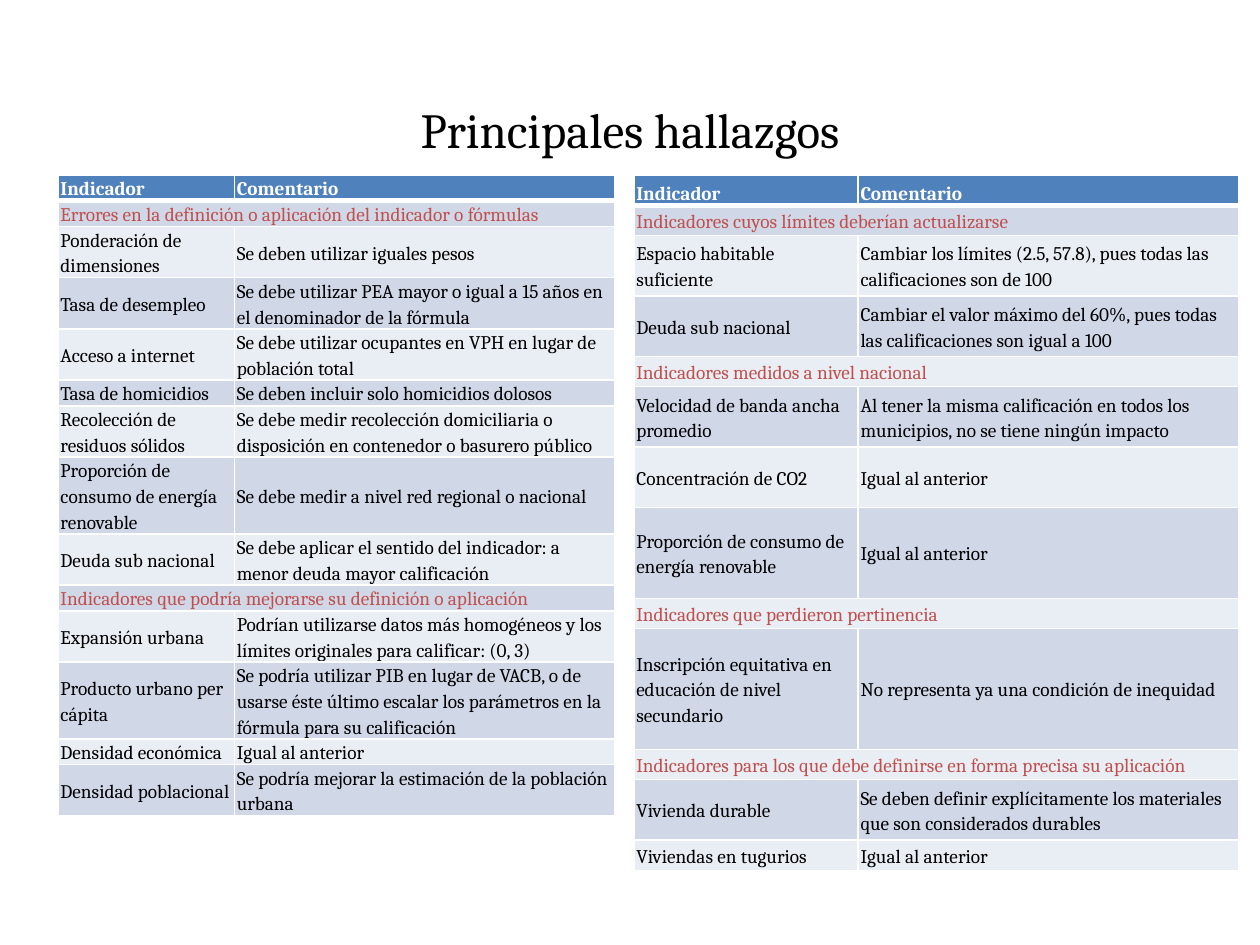
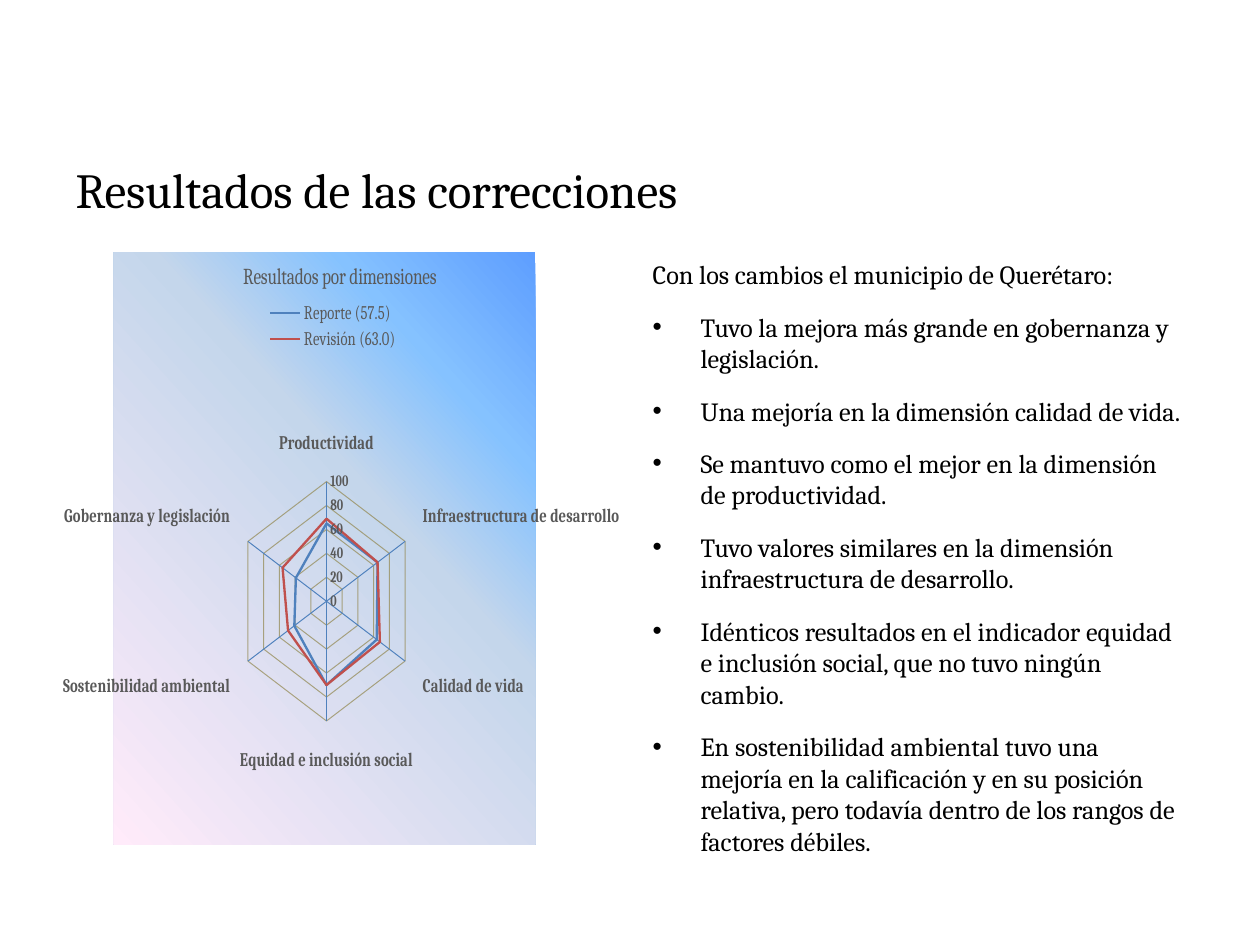
from pptx import Presentation
from pptx.chart.data import CategoryChartData
from pptx.dml.color import RGBColor
from pptx.enum.chart import XL_CHART_TYPE, XL_LEGEND_POSITION, XL_TICK_MARK
from pptx.enum.text import MSO_ANCHOR, MSO_AUTO_SIZE, PP_ALIGN
from pptx.oxml import parse_xml
from pptx.oxml.ns import nsdecls, qn
from pptx.util import Inches, Pt

RADAR = XL_CHART_TYPE.RADAR
LEGEND_TOP = XL_LEGEND_POSITION.TOP
NO_TICK = XL_TICK_MARK.NONE
MIDDLE, BOTTOM, TOP = MSO_ANCHOR.MIDDLE, MSO_ANCHOR.BOTTOM, MSO_ANCHOR.TOP
NO_FIT = MSO_AUTO_SIZE.NONE
LEFT, CENTER = PP_ALIGN.LEFT, PP_ALIGN.CENTER

FONT = "Cambria"
BLACK = RGBColor(0x00, 0x00, 0x00)
WHITE = RGBColor(0xFF, 0xFF, 0xFF)
BLUE = RGBColor(0x4F, 0x81, 0xBD)
RED = RGBColor(0xC0, 0x50, 0x4D)
BAND_DARK = RGBColor(0xD0, 0xD8, 0xE8)
BAND_LIGHT = RGBColor(0xE9, 0xED, 0xF4)
CHART_TEXT = RGBColor(0x59, 0x59, 0x59)
AXIS_GRAY = RGBColor(0xD9, 0xD9, 0xD9)
GRID_OLIVE = RGBColor(0x94, 0x8A, 0x54)
GRADIENT = [
    (0, RGBColor(0x5E, 0x9E, 0xFF)),
    (21, RGBColor(0x85, 0xC2, 0xFF)),
    (40, RGBColor(0xC4, 0xD6, 0xEB)),
    (100, RGBColor(0xFF, 0xEB, 0xFA)),
]
GRADIENT_ANGLE = 130

HEADER = (1, "Indicador", "Comentario")
FINDINGS = [
    {
        "position": (0.46, 1.39),
        "columns": (1.4, 3.02),
        "line_height": 0.2,
        "rows": [
            (1, "Errores en la definición o aplicación del indicador o fórmulas"),
            (2, "Ponderación de dimensiones", "Se deben utilizar iguales pesos"),
            (2, "Tasa de desempleo", "Se debe utilizar PEA mayor o igual a 15 años en el denominador de la fórmula"),
            (2, "Acceso a internet", "Se debe utilizar ocupantes en VPH en lugar de población total"),
            (1, "Tasa de homicidios", "Se deben incluir solo homicidios dolosos"),
            (2, "Recolección de residuos sólidos",
             "Se debe medir recolección domiciliaria o disposición en contenedor o basurero público"),
            (3, "Proporción de consumo de energía renovable", "Se debe medir a nivel red regional o nacional"),
            (2, "Deuda sub nacional", "Se debe aplicar el sentido del indicador: a menor deuda mayor calificación"),
            (1, "Indicadores que podría mejorarse su definición o aplicación"),
            (2, "Expansión urbana",
             "Podrían utilizarse datos más homogéneos y los límites originales para calificar: (0, 3)"),
            (3, "Producto urbano per cápita",
             "Se podría utilizar PIB en lugar de VACB, o de usarse éste último escalar los parámetros "
             "en la fórmula para su calificación"),
            (1, "Densidad económica", "Igual al anterior"),
            (2, "Densidad poblacional", "Se podría mejorar la estimación de la población urbana"),
        ],
    },
    {
        "position": (5.03, 1.39),
        "columns": (1.78, 3.02),
        "line_height": 0.24,
        "rows": [
            (1, "Indicadores cuyos límites deberían actualizarse"),
            (2, "Espacio habitable suficiente",
             "Cambiar los límites (2.5, 57.8), pues todas las calificaciones son de 100"),
            (2, "Deuda sub nacional",
             "Cambiar el valor máximo del 60%, pues todas las calificaciones son igual a 100"),
            (1, "Indicadores medidos a nivel nacional"),
            (2, "Velocidad de banda ancha promedio",
             "Al tener la misma calificación en todos los municipios, no se tiene ningún impacto"),
            (2, "Concentración de CO2", "Igual al anterior"),
            (3, "Proporción de consumo de energía renovable", "Igual al anterior"),
            (1, "Indicadores que perdieron pertinencia"),
            (4, "Inscripción equitativa en educación de nivel secundario",
             "No representa ya una condición de inequidad"),
            (1, "Indicadores para los que debe definirse en forma precisa su aplicación"),
            (2, "Vivienda durable",
             "Se deben definir explícitamente los materiales que son considerados durables"),
            (1, "Viviendas en tugurios", "Igual al anterior"),
        ],
    },
]

INTRODUCTION = "Con los cambios el municipio de Querétaro:"
CHANGES = [
    "Tuvo la mejora más grande en gobernanza y legislación.",
    "Una mejoría en la dimensión calidad de vida.",
    "Se mantuvo como el mejor en la dimensión de productividad.",
    "Tuvo valores similares en la dimensión infraestructura de desarrollo.",
    "Idénticos resultados en el indicador equidad e inclusión social, que no tuvo ningún cambio.",
    "En sostenibilidad ambiental tuvo una mejoría en la calificación y en su posición relativa, "
    "pero todavía dentro de los rangos de factores débiles.",
]
DIMENSIONS = [
    "Productividad",
    "Infraestructura de desarrollo",
    "Calidad de vida",
    "Equidad e inclusión social",
    "Sostenibilidad ambiental",
    "Gobernanza y legislación",
]
SCORES = [
    ("Reporte (57.5)", (65, 65, 64, 70, 41, 39), BLUE),
    ("Revisión (63.0)", (69, 65, 68, 70, 49, 56), RED),
]


def set_values(target, values):
    for name, value in values.items():
        setattr(target, name, value)


def set_font(font, size, color, bold=False):
    set_values(font, {"name": FONT, "size": Pt(size), "bold": bold})
    font.color.rgb = color


def place(shape, left, top, width, height):
    bounds = {"left": left, "top": top, "width": width, "height": height}
    set_values(shape, {name: Inches(value) for name, value in bounds.items()})


def add_titled_slide(presentation, layout_index, text, top, alignment):
    slide = presentation.slides.add_slide(presentation.slide_layouts[layout_index])
    title = slide.shapes.title
    place(title, 0.5, top, 9, 1)
    frame = title.text_frame
    set_values(frame, {"text": text, "auto_size": NO_FIT, "vertical_anchor": MIDDLE})
    paragraph = frame.paragraphs[0]
    paragraph.alignment = alignment
    set_font(paragraph.runs[0].font, 28, BLACK)
    return slide


def add_borders(cell, top_width, bottom_width):
    properties = cell._tc.get_or_add_tcPr()
    for side, width in (("L", 1), ("R", 1), ("T", top_width), ("B", bottom_width)):
        properties.append(parse_xml(
            f'<a:ln{side} {nsdecls("a")} w="{Pt(width)}"><a:solidFill>'
            f'<a:srgbClr val="{WHITE}"/></a:solidFill></a:ln{side}>'
        ))


def add_findings_table(slide, position, columns, line_height, rows):
    rows = [HEADER] + rows
    heights = [lines * line_height for lines, *_ in rows]
    bounds = (*position, sum(columns), sum(heights))
    table = slide.shapes.add_table(len(rows), len(columns), *map(Inches, bounds)).table
    for column, width in zip(table.columns, columns):
        column.width = Inches(width)
    for index, (_, *texts) in enumerate(rows):
        table.rows[index].height = Inches(heights[index])
        is_header, is_section = index == 0, len(texts) == 1
        fill = BLUE if is_header else BAND_DARK if index % 2 else BAND_LIGHT
        color = WHITE if is_header else RED if is_section else BLACK
        if is_section:
            table.cell(index, 0).merge(table.cell(index, 1))
        for column_index in range(len(columns)):
            cell = table.cell(index, column_index)
            add_borders(cell, 3 if index == 1 else 1, 3 if is_header else 1)
            cell.fill.solid()
            cell.fill.fore_color.rgb = fill
            set_values(cell, {
                "margin_left": Inches(0.02), "margin_right": Inches(0.02),
                "margin_top": 0, "margin_bottom": 0,
                "vertical_anchor": BOTTOM if is_header else MIDDLE,
            })
            if column_index < len(texts):
                cell.text = texts[column_index]
                paragraph = cell.text_frame.paragraphs[0]
                paragraph.line_spacing = 1.15
                set_font(paragraph.runs[0].font, 11, color, is_header)


def add_changes_list(body):
    place(body, 5.08, 2, 4.42, 4.7)
    frame = body.text_frame
    set_values(frame, {"auto_size": NO_FIT, "vertical_anchor": TOP})
    for index, text in enumerate([INTRODUCTION] + CHANGES):
        paragraph = frame.add_paragraph() if index else frame.paragraphs[0]
        run = paragraph.add_run()
        run.text = text
        set_font(run.font, 15, BLACK)
        properties = paragraph._p.get_or_add_pPr()
        indent = Inches(0.38) if index else 0
        properties.set("marL", str(indent))
        properties.set("indent", str(-indent))
        if index:
            paragraph.space_before = Pt(12)
        bullet = 'buChar char="•"' if index else "buNone"
        properties.append(parse_xml(f'<a:{bullet} {nsdecls("a")}/>'))


def set_layout(element, index, values, inner=False):
    for layout in element.findall(qn("c:layout")):
        element.remove(layout)
    target = '<c:layoutTarget val="inner"/>' if inner else ""
    modes = '<c:xMode val="edge"/><c:yMode val="edge"/>'
    sizes = "".join(f'<c:{name} val="{value}"/>' for name, value in zip("xywh", values))
    element.insert(index, parse_xml(
        f'<c:layout {nsdecls("c")}><c:manualLayout>{target}{modes}{sizes}</c:manualLayout></c:layout>'
    ))


def set_line(line, color, width):
    line.color.rgb = color
    line.width = Pt(width)


def fill_chart_area(chart):
    stops = "".join(
        f'<a:gs pos="{position * 1000}"><a:srgbClr val="{color}"/></a:gs>' for position, color in GRADIENT
    )
    chart.element.find(qn("c:chart")).addnext(parse_xml(
        f'<c:spPr {nsdecls("c", "a")}><a:gradFill><a:gsLst>{stops}</a:gsLst>'
        f'<a:lin ang="{GRADIENT_ANGLE * 60000}" scaled="0"/></a:gradFill>'
        '<a:ln><a:noFill/></a:ln></c:spPr>'
    ))


def add_dimensions_chart(slide):
    data = CategoryChartData(number_format="0")
    data.categories = DIMENSIONS
    for name, values, _ in SCORES:
        data.add_series(name, values)
    bounds = map(Inches, (0.5, 2, 4.42, 4.7))
    chart = slide.shapes.add_chart(RADAR, *bounds, data).chart
    set_font(chart.font, 10, BLACK)
    fill_chart_area(chart)

    chart.has_title = True
    title = chart.chart_title
    title.text_frame.text = "Resultados por dimensiones"
    set_font(title.text_frame.paragraphs[0].runs[0].font, 13, CHART_TEXT)
    set_layout(title.element, 1, (0.3, 0.01))

    chart.has_legend = True
    set_values(chart.legend, {"position": LEGEND_TOP, "include_in_layout": False})
    set_font(chart.legend.font, 11, CHART_TEXT)
    set_layout(chart.element.find(".//" + qn("c:legend")), 1, (0.36, 0.08, 0.32, 0.09))
    set_layout(chart.element.find(".//" + qn("c:plotArea")), 0, (0.29, 0.25, 0.43, 0.68), inner=True)

    category_axis, value_axis = chart.category_axis, chart.value_axis
    for axis, size, color in ((category_axis, 11, AXIS_GRAY), (value_axis, 9, BLUE)):
        set_values(axis, {"major_tick_mark": NO_TICK, "minor_tick_mark": NO_TICK})
        set_font(axis.tick_labels.font, size, CHART_TEXT, True)
        set_line(axis.format.line, color, 0.75)
    category_axis.has_major_gridlines = False
    set_values(value_axis, {
        "minimum_scale": 0, "maximum_scale": 100, "major_unit": 20, "has_major_gridlines": True,
    })
    set_values(value_axis.tick_labels, {"number_format": "0", "number_format_is_linked": False})
    set_line(value_axis.major_gridlines.format.line, GRID_OLIVE, 0.75)
    grid_color = chart.element.find(".//" + qn("c:majorGridlines")).find(".//" + qn("a:srgbClr"))
    grid_color.append(parse_xml(f'<a:alpha {nsdecls("a")} val="72000"/>'))

    for series, (_, _, color) in zip(chart.plots[0].series, SCORES):
        set_line(series.format.line, color, 1.75)
        series.smooth = False


def main():
    presentation = Presentation()
    set_values(presentation, {"slide_width": Inches(10), "slide_height": Inches(7.5)})

    findings_slide = add_titled_slide(presentation, 5, "Principales hallazgos", 0.52, CENTER)
    for findings in FINDINGS:
        add_findings_table(findings_slide, **findings)

    results_slide = add_titled_slide(presentation, 1, "Resultados de las correcciones", 1, LEFT)
    add_dimensions_chart(results_slide)
    add_changes_list(results_slide.placeholders[1])

    presentation.save("out.pptx")


if __name__ == "__main__":
    main()
